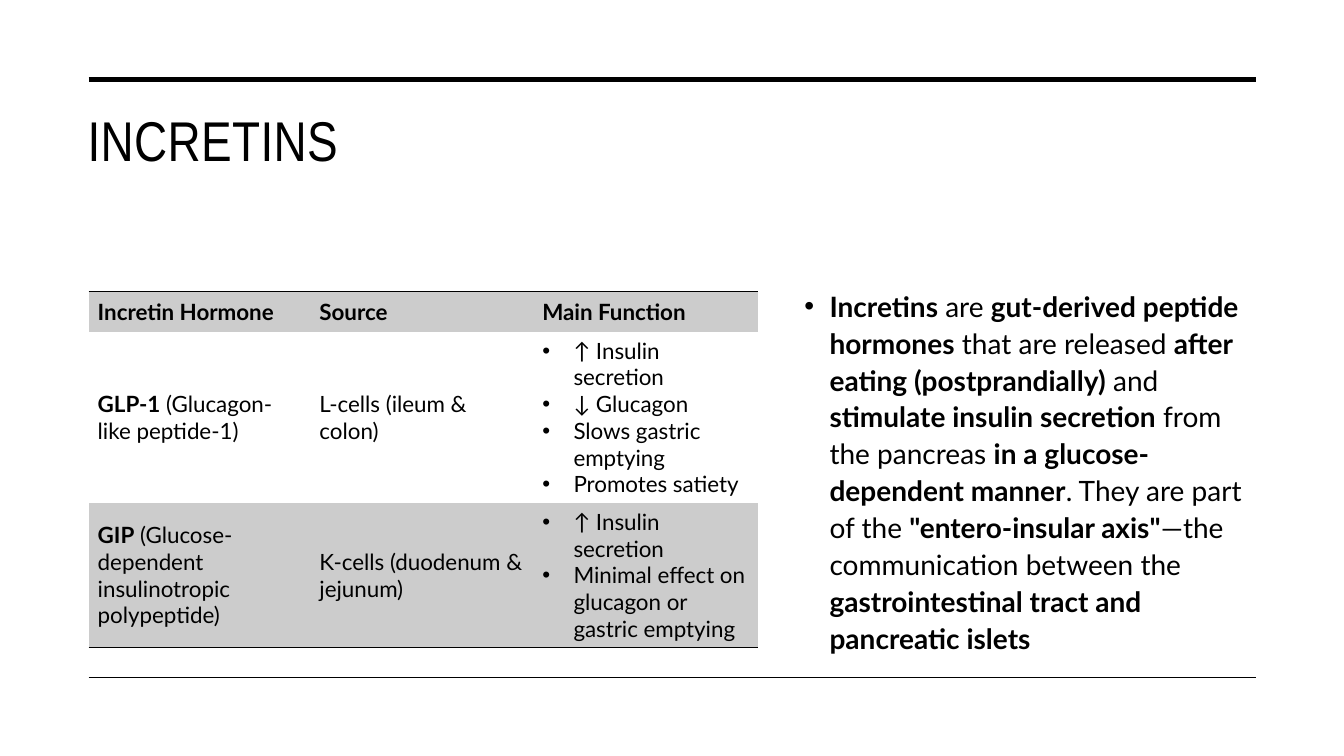
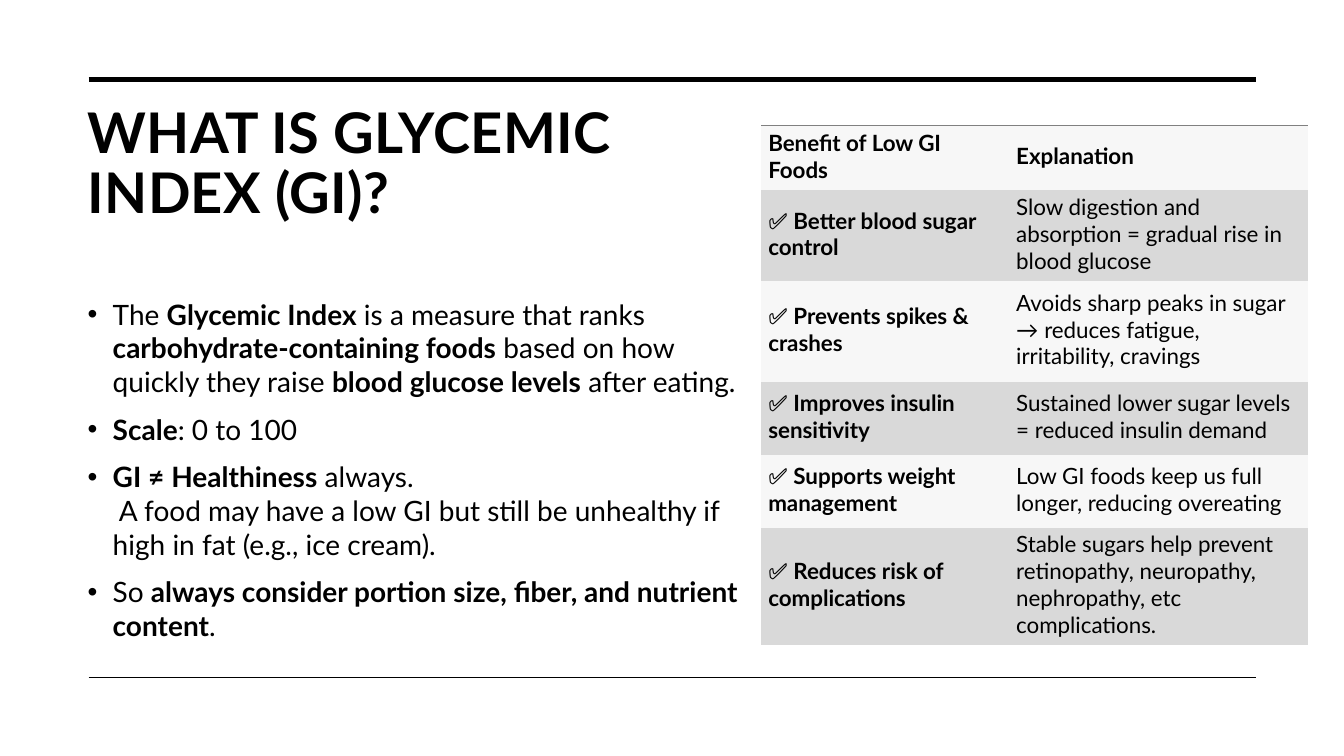
from lxml import etree
from pptx import Presentation
from pptx import util as u
from pptx.dml.color import RGBColor
from pptx.enum import shapes, text
from pptx.oxml import ns

HUES = {"ink": "000000", "shade": "CCCCCC", "pale": "F7F7F7", "gray": "D9D9D9", "edge": "808080"}
FONT = "Lato"
PLAIN = "{2D5ABB26-0587-4C30-8999-92F81FD0307C}"  # table style without grid or fill
LEFT, RIGHT = 6.6, 93.47  # page margins; all places are percent of the slide

deck = Presentation()
deck.slide_width, deck.slide_height = u.Inches(13.333), u.Inches(7.5)
COL, ROW = deck.slide_width / 100, deck.slide_height / 100


def place(x, y, w, h):
    """Turn percent of the slide into lengths."""
    return [u.Emu(round(n)) for n in (x * COL, y * ROW, w * COL, h * ROW)]


def write(frame, lines, size, font=FONT, indent=0, gap=0, lead=1.0, track=0):
    """Fill a frame; *stars* mark bold, indent (inches) adds bullets, track is in points."""
    frame.word_wrap = True
    for i, line in enumerate(lines):
        para = frame.add_paragraph() if i else frame.paragraphs[0]
        para.alignment = text.PP_ALIGN.LEFT
        para.line_spacing = lead
        para.space_before = u.Pt(gap if i else 0)
        if indent:
            props = para._p.get_or_add_pPr()
            props.set("marL", str(u.Inches(indent)))
            props.set("indent", str(-u.Inches(indent)))
            etree.SubElement(props, ns.qn("a:buFont"), typeface="Arial")
            etree.SubElement(props, ns.qn("a:buChar"), char="•")
        for j, piece in enumerate(line.split("*")):
            for k, words in enumerate(piece.split("\n")):
                if k:
                    para.add_line_break()
                if not words:
                    continue
                run = para.add_run()
                run.text = words
                run.font.name, run.font.size = font, u.Pt(size)
                run.font.bold = j % 2 == 1
                run.font.color.rgb = RGBColor.from_string(HUES["ink"])
                if track:
                    run._r.get_or_add_rPr().set("spc", str(round(track * 100)))


PAGES = [
    {
        "title": "INCRETINS", "face": "Arial Narrow", "head": (5.78, 13.33, 87.7, 11.6), "tight": 1.0,
        "body": (59.11, 18.8, 34.28, 68.53), "anchor": text.MSO_ANCHOR.BOTTOM, "lead": 1.1,
        "points": [
            "*Incretins* are *gut-derived peptide hormones* that are released "
            "*after eating (postprandially)* and *stimulate insulin secretion* from the pancreas "
            "*in a glucose-dependent manner*. They are part of the *\"entero-insular axis\"*—the "
            "communication between the *gastrointestinal tract and pancreatic islets*",
        ],
        "spot": (LEFT, 38.53), "cols": [16.5, 16.58, 16.73], "rows": [5.33, 22.5, 18.9],
        "pad": (0.09, 0.05, 0.09, 0.05), "fills": ["shade", None],
        "edges": {0: ("a:lnT", "ink"), 2: ("a:lnB", "ink")},
        "cells": [
            ["*Incretin Hormone*", "*Source*", "*Main Function*"],
            ["*GLP-1* (Glucagon-like peptide-1)", "L-cells (ileum & colon)",
             ["↑ Insulin secretion", "↓ Glucagon", "Slows gastric emptying", "Promotes satiety"]],
            ["*GIP* (Glucose-dependent insulinotropic polypeptide)", "K-cells (duodenum & jejunum)",
             ["↑ Insulin secretion", "Minimal effect on glucagon or gastric emptying"]],
        ],
    },
    {
        "title": "*WHAT IS GLYCEMIC INDEX (GI)?*", "face": FONT, "head": (5.78, 13.2, 52.51, 19.07), "tight": 0.9,
        "body": (5.78, 38.67, 50.79, 48.27), "anchor": text.MSO_ANCHOR.TOP, "lead": 1.0,
        "points": [
            "The *Glycemic Index* is a measure that ranks *carbohydrate-containing foods* "
            "based on how quickly they raise *blood glucose levels* after eating.",
            "*Scale*: 0 to 100",
            "*GI ≠ Healthiness* always.\n A food may have a low GI but still be unhealthy "
            "if high in fat (e.g., ice cream).",
            "So *always consider portion size, fiber, and nutrient content*.",
        ],
        "spot": (56.64, 16.6), "cols": [18.45, 22.21], "rows": [8.6, 11.9, 13.3, 9.65, 9.65, 15.5],
        "pad": (0.07, 0.03, 0.07, 0.07), "fills": ["pale", "gray"],
        "edges": {0: ("a:lnT", "edge")},
        "cells": [
            ["*Benefit of Low GI Foods*", "*Explanation*"],
            ["✅ *Better blood sugar control*",
             "Slow digestion and absorption = gradual rise in blood glucose"],
            ["✅ *Prevents spikes & crashes*",
             "Avoids sharp peaks in sugar → reduces fatigue, irritability, cravings"],
            ["✅ *Improves insulin sensitivity*",
             "Sustained lower sugar levels = reduced insulin demand"],
            ["✅ *Supports weight management*",
             "Low GI foods keep us full longer, reducing overeating"],
            ["✅ *Reduces risk of complications*",
             "Stable sugars help prevent retinopathy, neuropathy, nephropathy, etc complications."],
        ],
    },
]

for page in PAGES:
    slide = deck.slides.add_slide(deck.slide_layouts[6])

    for y, weight in ((10.53, 3.5), (89.6, 1)):
        x1, top, x2, _ = place(LEFT, y, RIGHT, 0)
        rule = slide.shapes.add_connector(shapes.MSO_CONNECTOR.STRAIGHT, x1, top, x2, top)
        rule.line.color.rgb = RGBColor.from_string(HUES["ink"])
        rule.line.width = u.Pt(weight)
        etree.SubElement(rule._element.spPr, ns.qn("a:effectLst"))

    head = slide.shapes.add_textbox(*place(*page["head"]))
    write(head.text_frame, [page["title"]], 40, page["face"], lead=page["tight"], track=0.3)

    body = slide.shapes.add_textbox(*place(*page["body"]))
    body.text_frame.vertical_anchor = page["anchor"]
    write(body.text_frame, page["points"], 20, indent=0.25, gap=10, lead=page["lead"])

    cols, rows = page["cols"], page["rows"]
    box = place(*page["spot"], sum(cols), sum(rows))
    grid = slide.shapes.add_table(len(rows), len(cols), *box).table
    grid.first_row = grid.horz_banding = False
    grid._tbl.tblPr.find(ns.qn("a:tableStyleId")).text = PLAIN
    for c, share in enumerate(cols):
        grid.columns[c].width = u.Emu(round(share * COL))
    for r, share in enumerate(rows):
        grid.rows[r].height = u.Emu(round(share * ROW))
        hue = page["fills"][r % 2]
        for c, words in enumerate(page["cells"][r]):
            cell = grid.cell(r, c)
            cell.vertical_anchor = text.MSO_ANCHOR.MIDDLE
            (cell.margin_left, cell.margin_top,
             cell.margin_right, cell.margin_bottom) = map(u.Inches, page["pad"])
            if hue:
                cell.fill.solid()
                cell.fill.fore_color.rgb = RGBColor.from_string(HUES[hue])
            else:
                cell.fill.background()
            if r in page["edges"]:
                side, ink = page["edges"][r]
                edge = etree.Element(ns.qn(side), w=str(u.Pt(1)))
                paint = etree.SubElement(edge, ns.qn("a:solidFill"))
                etree.SubElement(paint, ns.qn("a:srgbClr"), val=HUES[ink])
                cell._tc.get_or_add_tcPr().insert(0, edge)
            listed = isinstance(words, list)
            write(cell.text_frame, words if listed else [words], 16, indent=0.31 if listed else 0)

deck.save("out.pptx")
